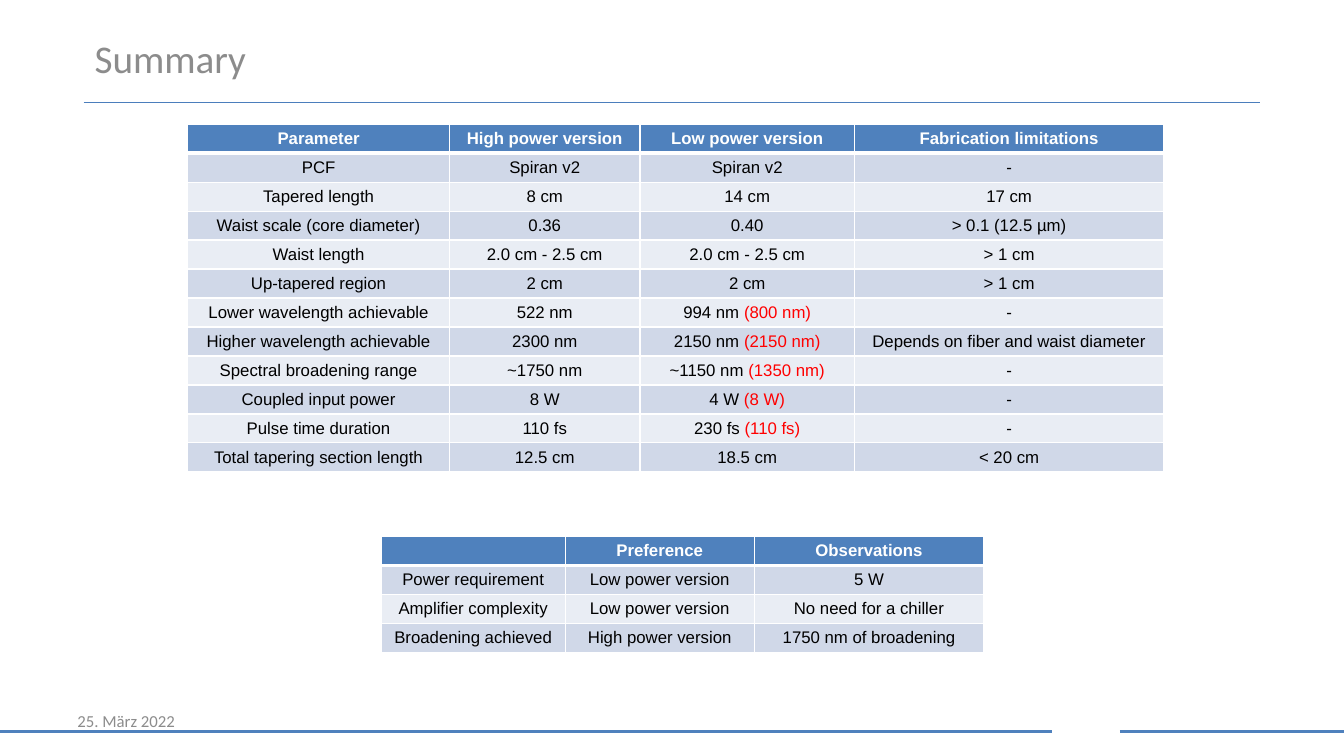
from dataclasses import dataclass
from typing import NamedTuple
from lxml import etree
from pptx import Presentation
from pptx.dml.color import RGBColor as Rgb
from pptx.enum.shapes import MSO_CONNECTOR as Link
from pptx.enum.text import MSO_ANCHOR as Anchor, MSO_AUTO_SIZE as Fit, PP_ALIGN as Align
from pptx.oxml.ns import qn
from pptx.util import Cm, Pt


@dataclass(frozen=True)
class Theme:
    blue: str = "4F81BD"
    rule: str = "4B7EBC"
    gray: str = "8C8C8C"
    white: str = "FFFFFF"
    black: str = "000000"
    red: str = "FF0000"
    bands: tuple = ("D0D8E8", "E9EDF4")
    sans: str = "Calibri"
    grid: str = "Arial"
    head: int = 28
    small: int = 12


class Box(NamedTuple):
    left: float
    top: float
    width: float
    height: float


theme = Theme()


def style(font, face, size, color, bold=False):
    font.name = face
    font.size = Pt(size)
    font.bold = bold
    font.color.rgb = Rgb.from_string(color)


def place(shape, box):
    shape.left, shape.top, shape.width, shape.height = map(Cm, box)


def label(shape, box, text, size, anchor):
    place(shape, box)
    frame = shape.text_frame
    frame.text = text
    frame.word_wrap = True
    frame.auto_size = Fit.NONE
    frame.vertical_anchor = anchor
    part = frame.paragraphs[0]
    part.alignment = Align.LEFT
    style(part.font, theme.sans, size, theme.gray)


def line(slide, left, top, width, color, weight):
    link = slide.shapes.add_connector(
        Link.STRAIGHT, Cm(left), Cm(top), Cm(left + width), Cm(top))
    link.line.color.rgb = Rgb.from_string(color)
    link.line.width = Pt(weight)
    etree.SubElement(link._element.spPr, qn("a:effectLst"))


def edge(cell, top, base):
    props = cell._tc.get_or_add_tcPr()
    sides = {"L": 1, "R": 1, "T": top, "B": base}
    for spot, (side, weight) in enumerate(sides.items()):
        rim = etree.Element(qn("a:ln" + side), w=str(Pt(weight)))
        fill = etree.SubElement(rim, qn("a:solidFill"))
        etree.SubElement(fill, qn("a:srgbClr"), val=theme.white)
        props.insert(spot, rim)


def write(cell, text, color, bold):
    part = cell.text_frame.paragraphs[0]
    part.alignment = Align.CENTER
    style(part.font, theme.grid, theme.small, color, bold)
    plain, mark, note = text.partition("|")
    if plain:
        part.add_run().text = plain
    else:
        etree.SubElement(part._p, qn("a:endParaRPr"), sz=str(theme.small * 100))
    if mark:
        run = part.add_run()
        run.text = note
        run.font.color.rgb = Rgb.from_string(theme.red)


def table(slide, box, shares, rows):
    grid = slide.shapes.add_table(len(rows), len(shares), *map(Cm, box)).table
    grid.horz_banding = False
    for col, share in zip(grid.columns, shares):
        col.width = Cm(box.width * share / sum(shares))
    for r, texts in enumerate(rows):
        grid.rows[r].height = Cm(box.height / len(rows))
        head = r == 0
        back = theme.blue if head else theme.bands[(r - 1) % 2]
        for c, text in enumerate(texts):
            cell = grid.cell(r, c)
            cell.fill.solid()
            cell.fill.fore_color.rgb = Rgb.from_string(back)
            cell.vertical_anchor = Anchor.TOP if head else Anchor.MIDDLE
            edge(cell, 3 if r == 1 else 1, 3 if head else 1)
            write(cell, text, theme.white if head else theme.black, head)


def header(slide, box):
    title = Box(box.left + 0.02, box.top, 25.4, box.height)
    label(slide.shapes.title, title, "Summary", theme.head, Anchor.TOP)
    line(slide, box.left, box.top + box.height, box.width, theme.rule, 0.75)


def footer(slide, box):
    base = box.top + 0.79
    line(slide, box.left, base, 26.52, theme.blue, 2.25)
    line(slide, box.left + 28.22, base, box.width - 28.22, theme.blue, 2.25)
    date = Box(box.left + 1.7, box.top, 7.9, 1.02)
    label(slide.shapes.add_textbox(0, 0, 0, 0), date, "25. März 2022",
          theme.small, Anchor.MIDDLE)


LIMITS = [
    ("Parameter", "High power version", "Low power version", "Fabrication limitations"),
    ("PCF", "Spiran v2", "Spiran v2", "-"),
    ("Tapered length", "8 cm", "14 cm", "17 cm"),
    ("Waist scale (core diameter)", "0.36", "0.40", "> 0.1 (12.5 µm)"),
    ("Waist length", "2.0 cm - 2.5 cm", "2.0 cm - 2.5 cm", "> 1 cm"),
    ("Up-tapered region", "2 cm", "2 cm", "> 1 cm"),
    ("Lower wavelength achievable", "522 nm", "994 nm |(800 nm)", "-"),
    ("Higher wavelength achievable", "2300 nm", "2150 nm |(2150 nm)",
     "Depends on fiber and waist diameter"),
    ("Spectral broadening range", "~1750 nm", "~1150 nm |(1350 nm)", "-"),
    ("Coupled input power", "8 W", "4 W |(8 W)", "-"),
    ("Pulse time duration", "110 fs", "230 fs |(110 fs)", "-"),
    ("Total tapering section length", "12.5 cm", "18.5 cm", "< 20 cm"),
]
CHOICE = [
    ("", "Preference", "Observations"),
    ("Power requirement", "Low power version", "5 W"),
    ("Amplifier complexity", "Low power version", "No need for a chiller"),
    ("Broadening achieved", "High power version", "1750 nm of broadening"),
]

deck = Presentation()
deck.slide_width, deck.slide_height = Cm(33.87), Cm(19.05)
slide = deck.slides.add_slide(deck.slide_layouts[5])
header(slide, Box(2.11, 0.74, 29.64, 1.85))
table(slide, Box(4.73, 3.13, 24.6, 8.76), (2.6, 1.89, 2.13, 3.07), LIMITS)
table(slide, Box(9.6, 13.52, 15.2, 2.92), (1.83, 1.87, 2.28), CHOICE)
footer(slide, Box(0, 17.65, 33.87, 1.4))
deck.save("out.pptx")
